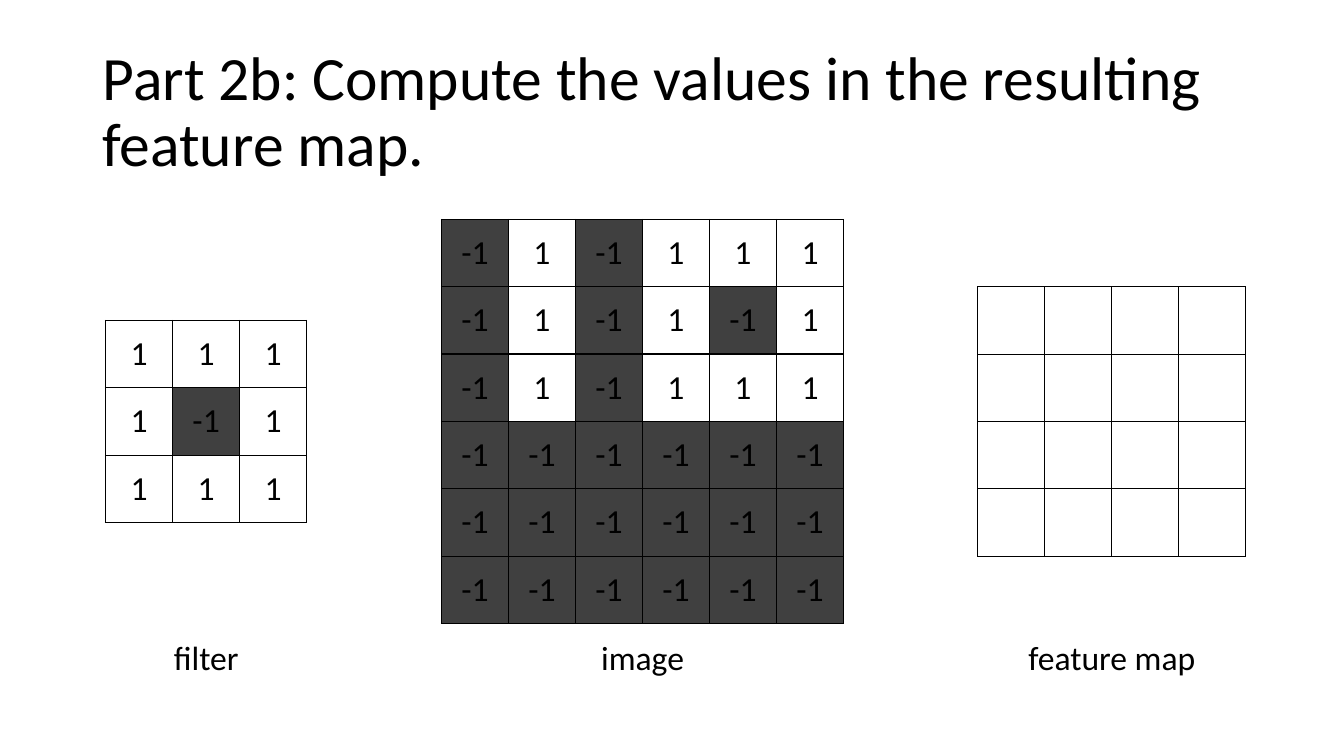
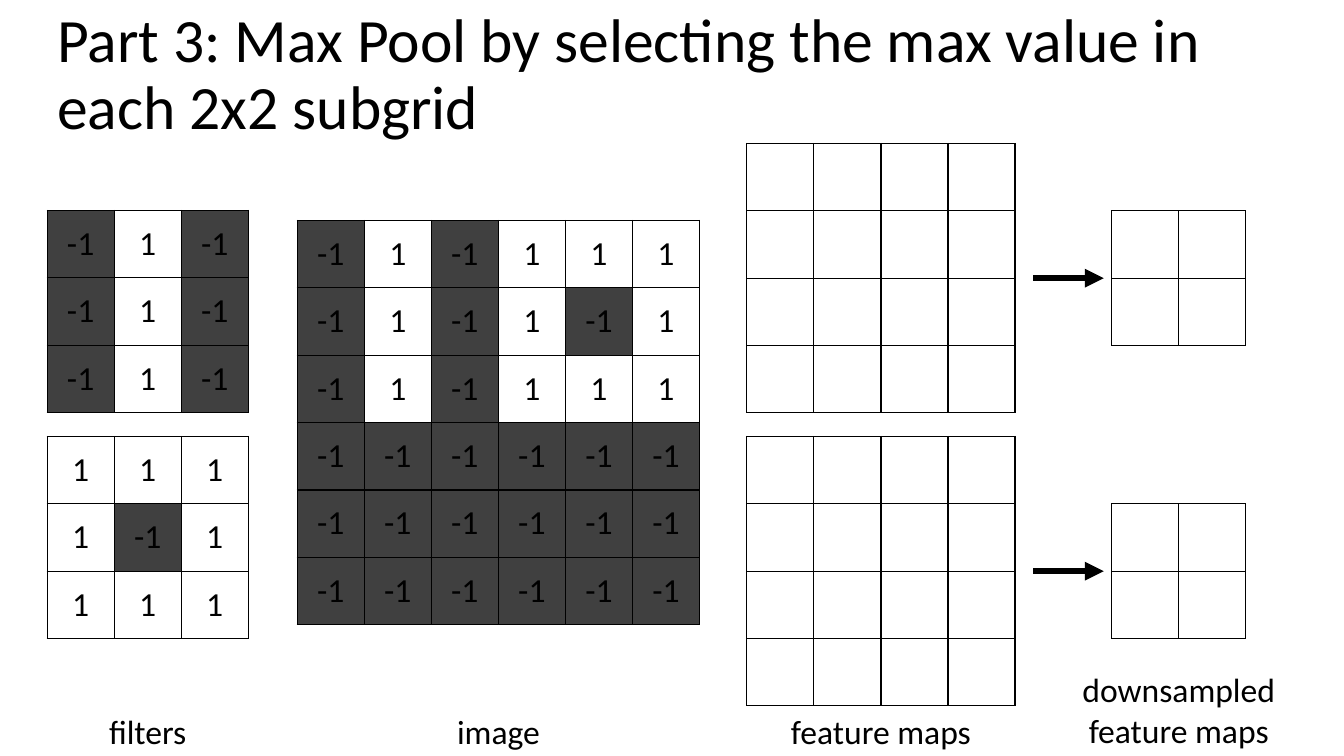
import pptx
import pptx.util
import pptx.dml.color
import pptx.enum.shapes
import pptx.enum.text
import pptx.oxml
import pptx.oxml.ns

COLORS = {"ink": "000000", "light": "FFFFFF", "dark": "404040"}
FONT = "Calibri"
TITLE_SIZE, TEXT_SIZE = 44, 24
TITLE_HEIGHT, LINE_HEIGHT = 19.33, 6.67

# Cell marks: text and fill
MARKS = {"+": ("1", "light"), "-": ("-1", "dark"),
         "o": ("", "light"), ".": ("", None)}
STRIPE_FILTER = ["-+-"] * 3
RING_FILTER = ["+++", "+-+", "+++"]
IMAGE = ["-+-+++", "-+-+-+", "-+-+++"] + ["------"] * 3
FEATURE_MAP = ["...."] * 4
POOLED_MAP = ["oo"] * 2


def rgb(name):
    return pptx.dml.color.RGBColor.from_string(COLORS[name])


class Deck:
    """Places elements on a grid of 100 columns by 100 rows per slide."""
    CELL_W, CELL_H = 4.99, 8.91

    def __init__(self):
        self.prs = pptx.Presentation()
        self.prs.slide_width = pptx.util.Inches(40 / 3)
        self.prs.slide_height = pptx.util.Inches(7.5)
        self.s = None

    def x(self, cols):
        return round(self.prs.slide_width * cols / 100)

    def y(self, rows):
        return round(self.prs.slide_height * rows / 100)

    def slide(self):
        self.s = self.prs.slides.add_slide(self.prs.slide_layouts[6])
        self.s.background.fill.solid()
        self.s.background.fill.fore_color.rgb = rgb("light")

    def run(self, p, text, size):
        r = p.add_run()
        r.text = text
        r.font.name = FONT
        r.font.size = pptx.util.Pt(size)
        r.font.color.rgb = rgb("ink")

    def title(self, text, left, top, width):
        sp = self.s.shapes.add_textbox(
            self.x(left), self.y(top), self.x(width), self.y(TITLE_HEIGHT))
        tf = sp.text_frame
        tf.word_wrap = True
        tf.vertical_anchor = pptx.enum.text.MSO_ANCHOR.MIDDLE
        p = tf.paragraphs[0]
        p.line_spacing = 0.9
        self.run(p, text, TITLE_SIZE)

    def caption(self, lines, cx, top, width):
        height = LINE_HEIGHT + 5.46 * (len(lines) - 1)
        sp = self.s.shapes.add_textbox(
            self.x(cx - width / 2), self.y(top), self.x(width), self.y(height))
        tf = sp.text_frame
        tf.word_wrap = False
        tf.auto_size = pptx.enum.text.MSO_AUTO_SIZE.SHAPE_TO_FIT_TEXT
        for i, line in enumerate(lines):
            p = tf.add_paragraph() if i else tf.paragraphs[0]
            p.alignment = pptx.enum.text.PP_ALIGN.CENTER
            self.run(p, line, TEXT_SIZE)

    def grid(self, marks, cx, cy):
        """Draw a grid of cells centred on (cx, cy)."""
        n_rows, n_cols = len(marks), len(marks[0])
        width, height = n_cols * self.CELL_W, n_rows * self.CELL_H
        table = self.s.shapes.add_table(
            n_rows, n_cols, self.x(cx - width / 2), self.y(cy - height / 2),
            self.x(width), self.y(height)).table
        table.first_row = table.horz_banding = False
        for col in table.columns:
            col.width = self.x(self.CELL_W)
        for row, row_marks in zip(table.rows, marks):
            row.height = self.y(self.CELL_H)
            for cell, mark in zip(row.cells, row_marks):
                self.cell(cell, *MARKS[mark])

    def cell(self, cell, text, fill):
        self.borders(cell)
        if fill:
            cell.fill.solid()
            cell.fill.fore_color.rgb = rgb(fill)
        else:
            cell.fill.background()
        cell.vertical_anchor = pptx.enum.text.MSO_ANCHOR.MIDDLE
        cell.margin_left = cell.margin_right = pptx.util.Inches(0.13)
        cell.margin_top = cell.margin_bottom = pptx.util.Inches(0.07)
        if text:
            p = cell.text_frame.paragraphs[0]
            p.alignment = pptx.enum.text.PP_ALIGN.CENTER
            self.run(p, text, TEXT_SIZE)

    def borders(self, cell):
        tcPr = cell._tc.get_or_add_tcPr()
        for side in "LRTB":
            tcPr.append(pptx.oxml.parse_xml(
                f'<a:ln{side} {pptx.oxml.ns.nsdecls("a")} w="12700">'
                f'<a:solidFill><a:srgbClr val="{COLORS["ink"]}"/></a:solidFill>'
                f'</a:ln{side}>'))

    def arrow(self, left, right, row):
        line = self.s.shapes.add_connector(
            pptx.enum.shapes.MSO_CONNECTOR.STRAIGHT,
            self.x(left), self.y(row), self.x(right), self.y(row))
        line.line.width = pptx.util.Pt(4.5)
        line.line.color.rgb = rgb("ink")
        ns = pptx.oxml.ns.nsdecls("a")
        line.line._get_or_add_ln().append(
            pptx.oxml.parse_xml(f'<a:tailEnd {ns} type="triangle"/>'))
        line._element.spPr.append(pptx.oxml.parse_xml(f"<a:effectLst {ns}/>"))


deck = Deck()

# Slide 1: one filter applied to the image
deck.slide()
deck.title("Part 2b: Compute the values in the resulting feature map.",
           6.9, 5.33, 86.25)
for marks, name, cx, width in [
        (RING_FILTER, "filter", 15.34, 6.38),
        (IMAGE, "image", 47.81, 7.73),
        (FEATURE_MAP, "feature map", 82.73, 14.1)]:
    deck.grid(marks, cx, 55.75)
    deck.caption([name], cx, 83.6, width)

# Slide 2: two filters, their feature maps and the pooled maps
deck.slide()
deck.title("Part 3: Max Pool by selecting the max value in each 2x2 subgrid",
           3.53, 0.4, 92.1)
FILTER_X, IMAGE_X, MAP_X, POOLED_X = 10.99, 37.09, 65.55, 87.71
deck.grid(IMAGE, IMAGE_X, 55.9)
for marks, filter_y, map_y in [(STRIPE_FILTER, 41.2, 36.8),
                               (RING_FILTER, 71.1, 75.55)]:
    deck.grid(marks, FILTER_X, filter_y)
    deck.grid(FEATURE_MAP, MAP_X, map_y)
    deck.grid(POOLED_MAP, POOLED_X, map_y)
    deck.arrow(76.88, 82.13, map_y)
for lines, cx, top, width in [
        (["filters"], FILTER_X, 93.33, 7.35),
        (["image"], IMAGE_X, 93.33, 7.73),
        (["feature maps"], MAP_X, 93.33, 15.08),
        (["downsampled", "feature maps"], POOLED_X, 87.87, 15.98)]:
    deck.caption(lines, cx, top, width)

deck.prs.save("out.pptx")
